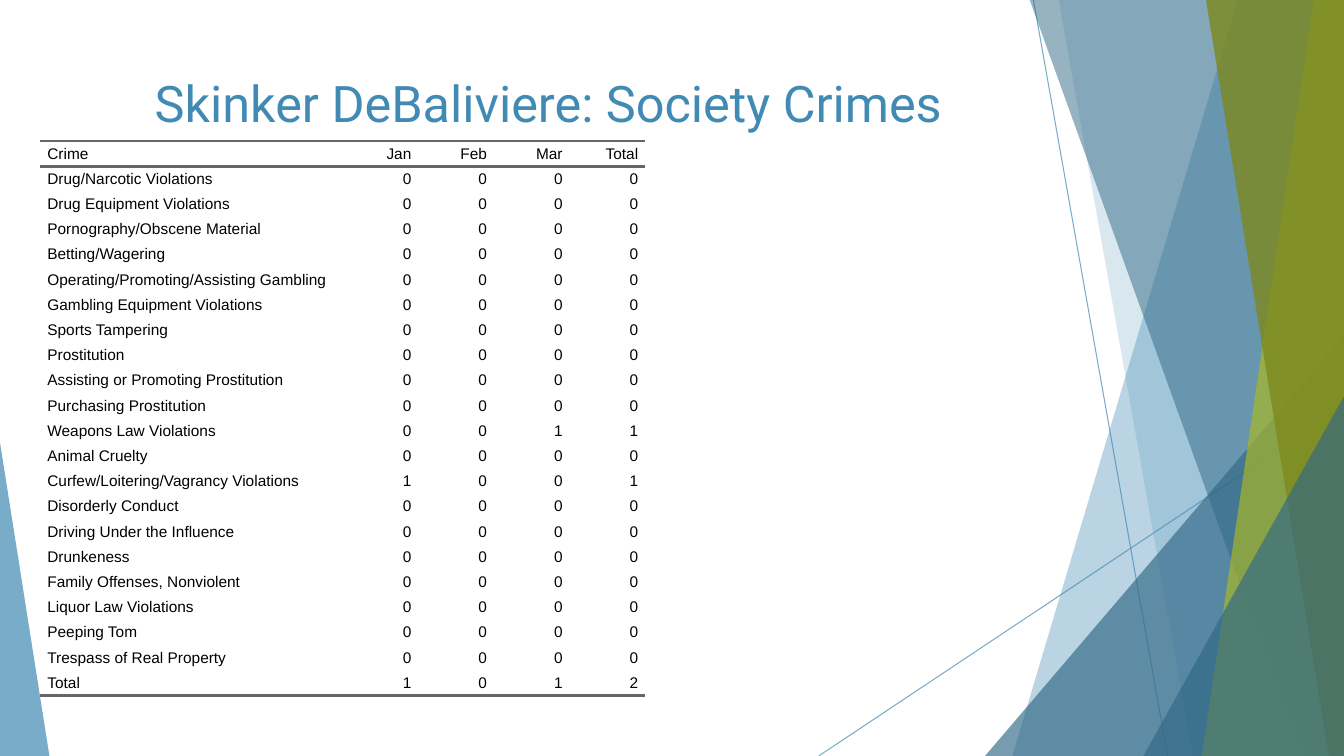
from dataclasses import dataclass
from typing import NamedTuple

from lxml import etree
from pptx import Presentation
from pptx import util as u
from pptx.dml.color import RGBColor
from pptx.enum import shapes, text
from pptx.oxml.ns import qn

PX = 9144
WIDTH, HEIGHT = 1333, 750
BLUE = RGBColor(0x41, 0x8A, 0xB3)
DEEP_BLUE = RGBColor(0x31, 0x68, 0x86)
LIME = RGBColor(0xA6, 0xB7, 0x27)
OLIVE = RGBColor(0x7D, 0x89, 0x1D)
GRAY = RGBColor(0x66, 0x66, 0x66)
BLACK = RGBColor(0, 0, 0)
NO_STYLE = "{2D5ABB26-0587-4C30-8999-92F81FD0307C}"


@dataclass
class Line:
    x1: int
    y1: int
    x2: int
    y2: int


@dataclass
class Band:
    top_left: int
    bottom_left: int
    bottom_right: int
    color: RGBColor
    alpha: int


@dataclass
class Triangle:
    left: int
    top: int
    width: int
    height: int
    apex: int
    color: RGBColor
    alpha: int


class Crime(NamedTuple):
    name: str
    jan: int = 0
    feb: int = 0
    mar: int = 0


DECOR = [
    Line(1025, 0, 1158, HEIGHT),
    Line(WIDTH, 403, 812, HEIGHT),
    Band(1228, 1004, WIDTH, BLUE, 36),
    Band(1050, 1183, WIDTH, BLUE, 20),
    Triangle(977, 333, 356, 417, 1, DEEP_BLUE, 66),
    Band(1021, 1291, WIDTH, DEEP_BLUE, 50),
    Band(1303, 1192, WIDTH, LIME, 70),
    Band(1196, 1318, WIDTH, OLIVE, 80),
    Triangle(1134, 393, 199, 357, 1, DEEP_BLUE, 66),
    Triangle(0, 439, 49, 311, 0, BLUE, 70),
]

CRIMES = [
    Crime("Drug/Narcotic Violations"),
    Crime("Drug Equipment Violations"),
    Crime("Pornography/Obscene Material"),
    Crime("Betting/Wagering"),
    Crime("Operating/Promoting/Assisting Gambling"),
    Crime("Gambling Equipment Violations"),
    Crime("Sports Tampering"),
    Crime("Prostitution"),
    Crime("Assisting or Promoting Prostitution"),
    Crime("Purchasing Prostitution"),
    Crime("Weapons Law Violations", mar=1),
    Crime("Animal Cruelty"),
    Crime("Curfew/Loitering/Vagrancy Violations", jan=1),
    Crime("Disorderly Conduct"),
    Crime("Driving Under the Influence"),
    Crime("Drunkeness"),
    Crime("Family Offenses, Nonviolent"),
    Crime("Liquor Law Violations"),
    Crime("Peeping Tom"),
    Crime("Trespass of Real Property"),
]


def px(*values: int) -> list[int]:
    return [v * PX for v in values]


def set_alpha(sp, percent: int) -> None:
    color = next(sp.element.spPr.iter(qn("a:srgbClr")))
    etree.SubElement(color, qn("a:alpha"), val=str(percent * 1000))


def draw_line(s, line: Line) -> None:
    cn = s.shapes.add_connector(
        shapes.MSO_CONNECTOR.STRAIGHT, *px(line.x1, line.y1, line.x2, line.y2))
    cn.line.color.rgb = BLUE
    cn.line.width = u.Pt(0.75)
    set_alpha(cn, 70)
    etree.SubElement(cn.element.spPr, qn("a:effectLst"))


def paint(sp, color: RGBColor, alpha: int) -> None:
    sp.shadow.inherit = False
    sp.fill.solid()
    sp.fill.fore_color.rgb = color
    sp.line.fill.background()
    set_alpha(sp, alpha)


def draw_band(s, band: Band) -> None:
    fb = s.shapes.build_freeform(band.top_left, -1, scale=PX)
    fb.add_line_segments([(WIDTH, -1), (band.bottom_right, HEIGHT),
                          (band.bottom_left, HEIGHT)], close=True)
    paint(fb.convert_to_shape(), band.color, band.alpha)


def draw_triangle(s, tri: Triangle) -> None:
    sp = s.shapes.add_shape(shapes.MSO_SHAPE.ISOSCELES_TRIANGLE,
                            *px(tri.left, tri.top, tri.width, tri.height))
    sp.adjustments[0] = tri.apex
    paint(sp, tri.color, tri.alpha)


def add_border(cell, side: str) -> None:
    ln = etree.SubElement(cell._tc.get_or_add_tcPr(), qn(side), w=str(u.Pt(2)))
    fill = etree.SubElement(ln, qn("a:solidFill"))
    etree.SubElement(fill, qn("a:srgbClr"), val=str(GRAY))


def draw_table(s) -> None:
    rows = [("Crime", "Jan", "Feb", "Mar", "Total")]
    rows += [(*crime, sum(crime[1:])) for crime in CRIMES]
    sums = [sum(month) for month in list(zip(*CRIMES))[1:]]
    rows.append(("Total", *sums, sum(sums)))
    widths = [300] + [75] * 4
    table = s.shapes.add_table(len(rows), len(widths),
                               *px(40, 140, sum(widths), 25 * len(rows))).table
    table.horz_banding = False
    table.first_row = False
    table._tbl.tblPr.find(qn("a:tableStyleId")).text = NO_STYLE
    for column, width in zip(table.columns, widths):
        column.width = width * PX
    for i, row in enumerate(rows):
        table.rows[i].height = 25 * PX
        for j, value in enumerate(row):
            cell = table.cell(i, j)
            cell.margin_left = cell.margin_right = 7 * PX
            cell.margin_top = cell.margin_bottom = 0
            cell.vertical_anchor = text.MSO_ANCHOR.MIDDLE
            if i == 0:
                add_border(cell, "a:lnT")
            if i in (0, len(rows) - 1):
                add_border(cell, "a:lnB")
            cell.fill.background()
            p = cell.text_frame.paragraphs[0]
            p.text = str(value)
            p.alignment = text.PP_ALIGN.RIGHT if j else text.PP_ALIGN.LEFT
            p.font.name = "Arial"
            p.font.size = u.Pt(11)
            p.font.color.rgb = BLACK


def place_title(s) -> None:
    title = s.shapes.title
    title.left, title.top, title.width, title.height = px(74, 67, 940, 144)
    tf = title.text_frame
    tf.auto_size = text.MSO_AUTO_SIZE.NONE
    tf.vertical_anchor = text.MSO_ANCHOR.TOP
    p = tf.paragraphs[0]
    p.text = "Skinker DeBaliviere: Society Crimes"
    p.alignment = text.PP_ALIGN.CENTER
    p.font.name = "Roboto"
    p.font.size = u.Pt(36)
    p.font.color.rgb = BLUE
    title.element.getparent().append(title.element)


def main() -> None:
    prs = Presentation()
    prs.slide_width, prs.slide_height = px(WIDTH, HEIGHT)
    s = prs.slides.add_slide(prs.slide_layouts[5])
    draw = {Line: draw_line, Band: draw_band, Triangle: draw_triangle}
    for item in DECOR:
        draw[type(item)](s, item)
    draw_table(s)
    place_title(s)
    prs.save("out.pptx")


if __name__ == "__main__":
    main()
